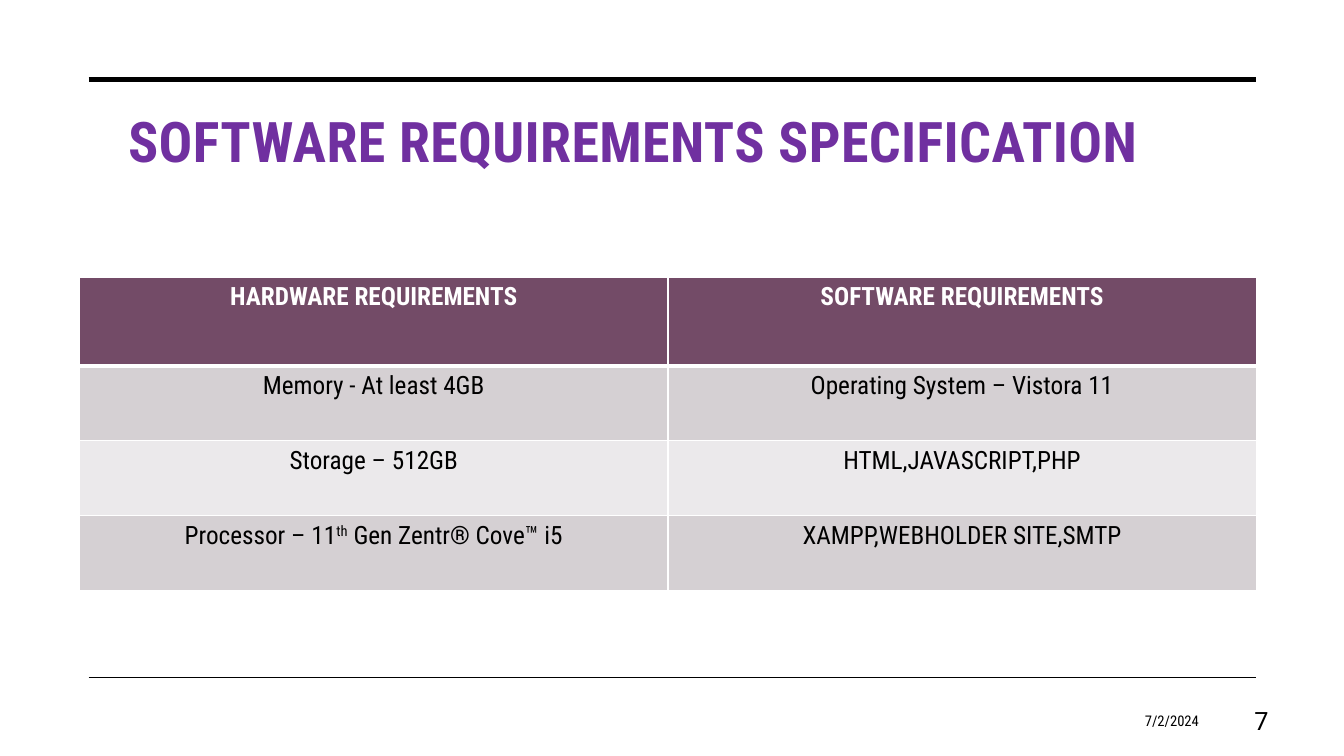
from lxml import etree
from pptx import Presentation
from pptx.dml.color import RGBColor
from pptx.enum import shapes, text
from pptx.oxml.ns import qn
from pptx.util import Inches, Pt

HUES = {
    "ink": "000000", "paper": "FFFFFF", "title": "7030A0",
    "head": "734B67", "odd": "D5D0D3", "even": "EBE9EB",
}
FACE = "Roboto Condensed"
ROWS = [
    ("HARDWARE REQUIREMENTS", "SOFTWARE REQUIREMENTS"),
    ("Memory - At least 4GB", "Operating System – Vistora 11"),
    ("Storage – 512GB", "HTML,JAVASCRIPT,PHP"),
    ("Processor – 11^th^ Gen Zentr® Cove™ i5", "XAMPP,WEBHOLDER SITE,SMTP"),
]


def hue(name):
    return RGBColor.from_string(HUES[name])


def style(font, color, **form):
    font.color.rgb = hue(color)
    for key, value in form.items():
        setattr(font, key, value)


def write(para, words, color, **form):
    """Add runs to a paragraph; text between carets is raised."""
    for i, part in enumerate(words.split("^")):
        run = para.add_run()
        run.text = part
        style(run.font, color, **form)
        if i % 2:
            run.font._element.set("baseline", "30000")


def rule(slide, left, top, width, weight):
    line = slide.shapes.add_connector(
        shapes.MSO_CONNECTOR.STRAIGHT,
        *map(Inches, (left, top, left + width, top)))
    line.line.color.rgb = hue("ink")
    line.line.width = Pt(weight)
    etree.SubElement(line._element.spPr, qn("a:effectLst"))


def title(slide, box, words):
    head = slide.shapes.title
    head.left, head.top, head.width, head.height = map(Inches, box)
    frame = head.text_frame
    form = {"margin_left": Inches(0.5), "word_wrap": True,
            "auto_size": text.MSO_AUTO_SIZE.NONE,
            "vertical_anchor": text.MSO_ANCHOR.TOP}
    for key, value in form.items():
        setattr(frame, key, value)
    para = frame.paragraphs[0]
    para.alignment = text.PP_ALIGN.LEFT
    write(para, words, "title", name=FACE, size=Pt(40), bold=True)
    para.runs[0].font._element.set("spc", "30")


def border(cell, base):
    """Draw white cell edges, with the given weight at the base."""
    props = cell._tc.get_or_add_tcPr()
    for i, (side, weight) in enumerate(
            {"lnL": 1, "lnR": 1, "lnT": 1, "lnB": base}.items()):
        edge = etree.Element(qn(f"a:{side}"), w=str(Pt(weight)))
        fill = etree.SubElement(edge, qn("a:solidFill"))
        etree.SubElement(fill, qn("a:srgbClr"), val=HUES["paper"])
        props.insert(i, edge)


def grid(slide, box, rows, top):
    """Place a table whose first row has the height top."""
    table = slide.shapes.add_table(
        len(rows), len(rows[0]), *map(Inches, box)).table
    rest = (box[3] - top) / (len(rows) - 1)
    for r, row in enumerate(rows):
        table.rows[r].height = Inches(rest if r else top)
        shade = "head" if r == 0 else "odd" if r % 2 else "even"
        for c, words in enumerate(row):
            cell = table.cell(r, c)
            cell.fill.solid()
            cell.fill.fore_color.rgb = hue(shade)
            border(cell, 1 if r else 3)
            if r == 1:
                # Shared edge under the header
                cell._tc.tcPr.find(qn("a:lnT")).set("w", str(Pt(3)))
            para = cell.text_frame.paragraphs[0]
            para.alignment = text.PP_ALIGN.CENTER
            write(para, words, "ink" if r else "paper",
                  name=FACE, size=Pt(18), bold=r == 0)


def note(slide, box, words, face, size):
    frame = slide.shapes.add_textbox(*map(Inches, box)).text_frame
    frame.word_wrap = True
    frame.vertical_anchor = text.MSO_ANCHOR.MIDDLE
    para = frame.paragraphs[0]
    para.alignment = text.PP_ALIGN.RIGHT
    write(para, words, "ink", name=face, size=Pt(size))


def main():
    deck = Presentation()
    deck.slide_width, deck.slide_height = Inches(13.33), Inches(7.5)
    slide = deck.slides.add_slide(deck.slide_layouts[5])

    # Frame lines
    for top, weight in ((0.79, 3.5), (6.72, 1)):
        rule(slide, 0.88, top, 11.58, weight)

    # Title and requirements
    title(slide, (0.77, 1.01, 11.69, 1.5),
          "SOFTWARE REQUIREMENTS SPECIFICATION")
    grid(slide, (0.79, 2.75, 11.67, 3.11), ROWS, 0.88)

    # Date and page number
    note(slide, (9.15, 6.95, 2.84, 0.4), "7/2/2024", FACE, 10.5)
    note(slide, (11.94, 6.95, 0.74, 0.4), "7", "Roboto", 18)
    deck.save("out.pptx")


if __name__ == "__main__":
    main()
